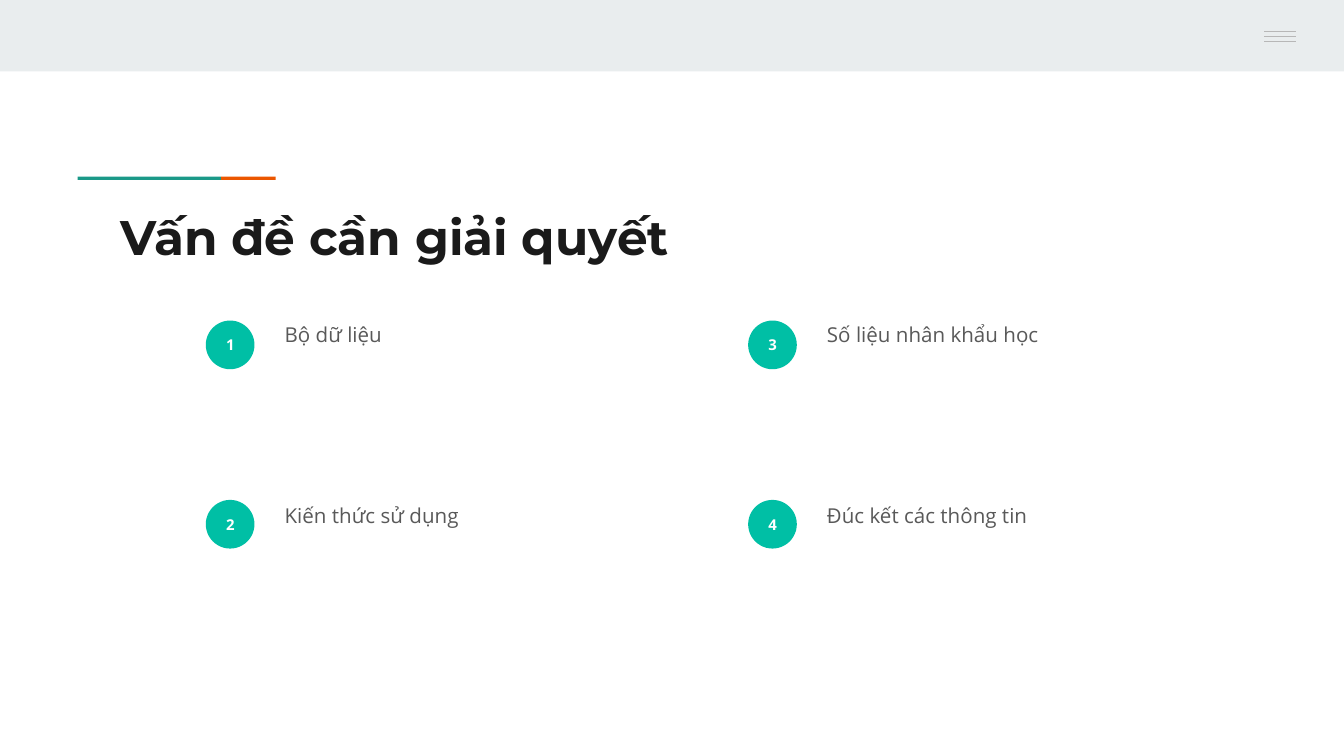
import dataclasses

import lxml.etree
import pptx
import pptx.dml.color
import pptx.enum.shapes
import pptx.enum.text
import pptx.oxml.ns
import pptx.util

Cm = pptx.util.Cm
Shapes = pptx.enum.shapes.MSO_SHAPE
Align = pptx.enum.text.PP_ALIGN
Anchor = pptx.enum.text.MSO_ANCHOR


@dataclasses.dataclass(frozen=True)
class Theme:
    banner: str = "E9EDEE"
    menu: str = "B7B7B7"
    teal: str = "1A9988"
    orange: str = "EB5600"
    badge: str = "00BFA5"
    badge_text: str = "FFFFFF"
    heading: str = "1A1A1A"
    body: str = "595959"
    heading_font: str = "Montserrat"
    body_font: str = "Open Sans"
    heading_size: float = 26
    body_size: float = 11
    badge_size: float = 8


def rgb(value):
    return pptx.dml.color.RGBColor.from_string(value)


class SlideBuilder:
    def __init__(self, slide, theme):
        self.slide = slide
        self.theme = theme

    def filled(self, preset, left, top, width, height, color):
        shape = self.slide.shapes.add_shape(
            preset, Cm(left), Cm(top), Cm(width), Cm(height))
        shape.shadow.inherit = False
        shape.fill.solid()
        shape.fill.fore_color.rgb = rgb(color)
        shape.line.fill.background()
        return shape

    def rule(self, left, top, width):
        line = self.slide.shapes.add_connector(
            pptx.enum.shapes.MSO_CONNECTOR.STRAIGHT,
            Cm(left), Cm(top), Cm(left + width), Cm(top))
        line.line.color.rgb = rgb(self.theme.menu)
        line.line.width = pptx.util.Pt(0.75)
        lxml.etree.SubElement(line._element.spPr, pptx.oxml.ns.qn("a:effectLst"))

    def set_text(self, shape, text, font, size, color, bold=False):
        """Fill a shape with one styled paragraph and return the paragraph."""
        frame = shape.text_frame
        frame.word_wrap = True
        frame.margin_left = frame.margin_right = Cm(0.25)
        frame.margin_top = frame.margin_bottom = Cm(0.25)
        frame.text = text
        paragraph = frame.paragraphs[0]
        style = paragraph.runs[0].font
        style.name = font
        style.size = pptx.util.Pt(size)
        style.color.rgb = rgb(color)
        style.bold = bold
        return paragraph

    def text_box(self, left, top, width, height):
        box = self.slide.shapes.add_textbox(
            Cm(left), Cm(top), Cm(width), Cm(height))
        box.text_frame.vertical_anchor = Anchor.TOP
        return box

    def title(self, text, left, top, width, height):
        theme = self.theme
        self.set_text(self.text_box(left, top, width, height), text,
                      theme.heading_font, theme.heading_size, theme.heading, True)

    def badge(self, number, left, top):
        theme = self.theme
        circle = self.filled(Shapes.OVAL, left, top, 0.92, 0.92, theme.badge)
        circle.text_frame.vertical_anchor = Anchor.MIDDLE
        label = self.set_text(circle, str(number), theme.body_font,
                              theme.badge_size, theme.badge_text, True)
        label.alignment = Align.CENTER

    def topic(self, text, left, top):
        theme = self.theme
        paragraph = self.set_text(self.text_box(left, top, 7.87, 2.92), text,
                                  theme.body_font, theme.body_size, theme.body)
        paragraph.line_spacing = 1.15
        paragraph.space_after = pptx.util.Pt(16)


def main():
    presentation = pptx.Presentation()
    presentation.slide_width = Cm(25.4)
    presentation.slide_height = Cm(14.29)
    theme = Theme()
    builder = SlideBuilder(
        presentation.slides.add_slide(presentation.slide_layouts[6]), theme)

    builder.filled(Shapes.RECTANGLE, 0, 0, 25.4, 1.35, theme.banner)
    for row in range(3):
        builder.rule(23.89, 0.6 + row * 0.09, 0.6)

    builder.filled(Shapes.RECTANGLE, 1.47, 3.34, 2.71, 0.06, theme.teal)
    builder.filled(Shapes.RECTANGLE, 4.18, 3.34, 1.03, 0.06, theme.orange)
    builder.title("Vấn đề cần giải quyết", 2.03, 3.66, 21.36, 1.5)

    topics = ["Bộ dữ liệu", "Kiến thức sử dụng",
              "Số liệu nhân khẩu học", "Đúc kết các thông tin"]
    for index, topic in enumerate(topics):
        column, row = divmod(index, 2)
        offset = column * 10.25
        builder.badge(index + 1, 3.89 + offset, 6.06 + row * 3.39)
        builder.topic(topic, 5.13 + offset, 5.77 + row * 3.42)

    presentation.save("out.pptx")


if __name__ == "__main__":
    main()
